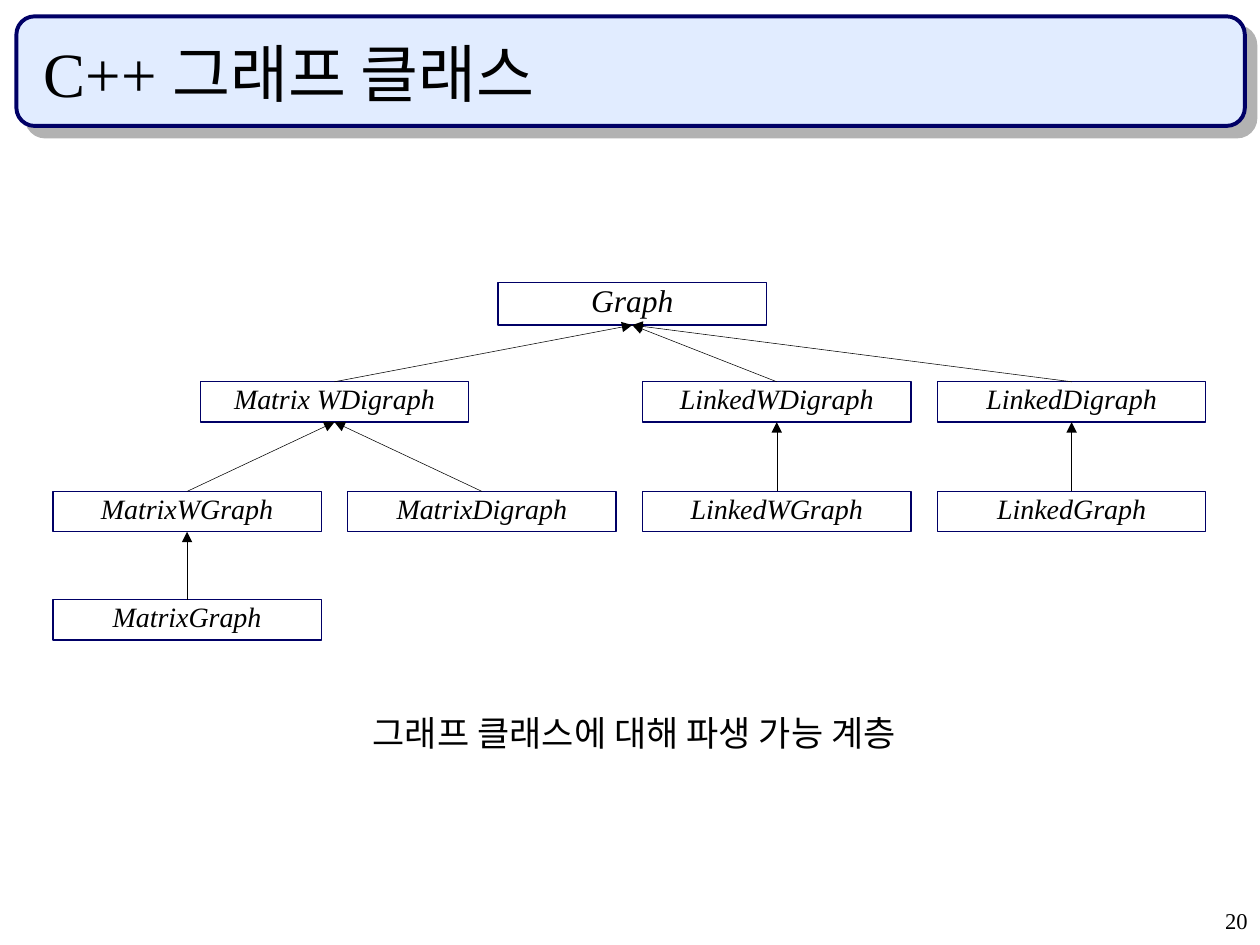
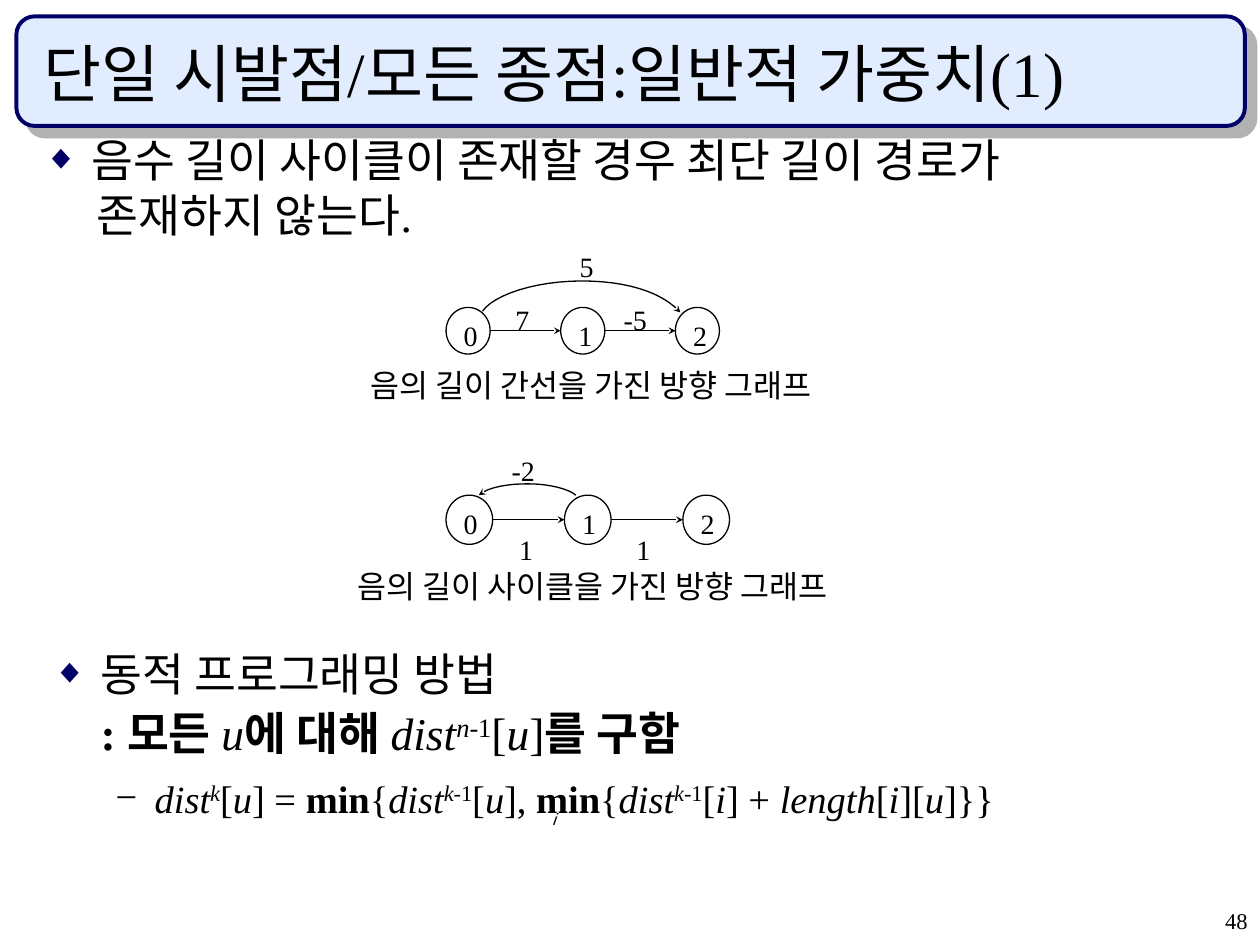
from dataclasses import dataclass

from lxml.etree import SubElement
from pptx import Presentation
from pptx.dml.color import RGBColor
from pptx.enum.shapes import MSO_CONNECTOR as Connector, MSO_SHAPE as Preset
from pptx.enum.text import MSO_ANCHOR as Anchor, PP_ALIGN as Align
from pptx.oxml.ns import qn
from pptx.util import Inches, Pt


@dataclass(frozen=True)
class Theme:
    black: str = "000000"
    navy: str = "000066"
    band: str = "E1ECFF"
    shadow: str = "B2B2B2"
    latin: str = "Times New Roman"
    korean: str = "Noto Sans CJK KR"
    title: float = 36
    body: float = 26
    formula: float = 22
    caption: float = 20
    note: float = 18
    label: float = 16
    number: float = 12.9
    index: float = 9


THEME = Theme()

# Class tree: name -> (column, row, parent)
TREE_TITLE, TREE_NUMBER = "C++ 그래프 클래스", "20"
CLASSES = {
    "Graph": (1.51, 0, None),
    "Matrix WDigraph": (0.5, 1, "Graph"),
    "LinkedWDigraph": (2, 1, "Graph"),
    "LinkedDigraph": (3, 1, "Graph"),
    "MatrixWGraph": (0, 2, "Matrix WDigraph"),
    "MatrixDigraph": (1, 2, "Matrix WDigraph"),
    "LinkedWGraph": (2, 2, "LinkedWDigraph"),
    "LinkedGraph": (3, 2, "LinkedDigraph"),
    "MatrixGraph": (0, 3, "MatrixWGraph"),
}
TREE_LEFT, COLUMN_PITCH, CLASS_WIDTH = 0.42, 2.34, 2.13
ROW_TOPS = (2.24, 3.03, 3.9, 4.76)
TREE_CAPTION = ("그래프 클래스에 대해 파생 가능 계층", 2.86, 5.6, 4.43, 0.44)

PATHS_TITLE, PATHS_NUMBER = "단일 시발점/모든 종점:일반적 가중치(1)", "48"
CYCLE_LINES = ("음수 길이 사이클이 존재할 경우 최단 길이 경로가", "존재하지 않는다.")

# Curves are a start point followed by cubic triples (control, control, end)
DIGRAPHS = [
    {
        "left": 3.54, "top": 2.44, "pitch": 0.91, "size": (0.35, 0.37),
        "weights": [("5", 4.6, 1.98), ("7", 4.09, 2.4), ("-5", 4.95, 2.4)],
        "curve": [(3.83, 2.47), (3.92, 2.34), (4.25, 2.23), (4.62, 2.23),
                  (4.95, 2.23), (5.25, 2.31), (5.4, 2.48)],
        "caption": ("음의 길이 간선을 가진 방향 그래프", 2.84, 2.86, 3.77, 0.4),
    },
    {
        "left": 3.54, "top": 3.93, "pitch": 0.94, "size": (0.37, 0.39),
        "weights": [("1", 4.12, 4.23), ("1", 5.05, 4.23), ("-2", 4.06, 3.6)],
        "curve": [(4.57, 3.93), (4.53, 3.89), (4.38, 3.84), (4.19, 3.84),
                  (4.05, 3.84), (3.88, 3.86), (3.8, 3.93)],
        "caption": ("음의 길이 사이클을 가진 방향 그래프", 2.74, 4.45, 4, 0.4),
    },
]
NODES = ("0", "1", "2")

# Runs are (text, style): b bold, i italic, ^ superscript
METHOD = [("동적 프로그래밍 방법", "")]
GOAL = [(": 모든 ", "b"), ("u", "i"), ("에 대해 ", "b"), ("dist", "i"), ("n", "i^"),
        ("-1", "^"), ("[", ""), ("u", "i"), ("]", ""), ("를 구함", "b")]
PREVIOUS = [("dist", "i"), ("k", "i^"), ("-1", "^"), ("[", "")]
FORMULA = [("dist", "i"), ("k", "i^"), ("[", ""), ("u", "i"), ("] = ", ""),
           ("min", "b"), ("{", ""), *PREVIOUS, ("u", "i"), ("], ", ""),
           ("min", "b"), ("{", ""), *PREVIOUS, ("i", "i"), ("] +", ""),
           (" length", "i"), ("[", ""), ("i", "i"), ("][", ""), ("u", "i"), ("]}}", "")]
MIN_INDEX = ("i", 4.28, 6.38, 0.23, 0.25)


def color(code):
    return RGBColor.from_string(code)


def inches(*lengths):
    return [Inches(length) for length in lengths]


def add_run(para, text, size, style="", font=THEME.latin):
    span = para.add_run()
    span.text = text
    span.font.size = Pt(size)
    span.font.name = font
    span.font.color.rgb = color(THEME.black)
    span.font.bold = "b" in style
    span.font.italic = "i" in style
    properties = span.font._element
    SubElement(properties, qn("a:ea"), typeface=THEME.korean)
    if "^" in style:
        properties.set("baseline", "30000")


def set_paragraph(para, align=Align.LEFT, spacing=1.0, before=0):
    para.alignment = align
    para.line_spacing = spacing
    para.space_before = Pt(before)


def set_indent(para, margin, hanging=0, bullet=None, tint=THEME.black, percent=100):
    properties = para._p.get_or_add_pPr()
    properties.set("marL", str(Inches(margin)))
    properties.set("indent", str(-Inches(hanging)))
    if bullet:
        tone = SubElement(properties, qn("a:buClr"))
        SubElement(tone, qn("a:srgbClr"), val=tint)
        SubElement(properties, qn("a:buSzPct"), val=str(percent * 1000))
        SubElement(properties, qn("a:buFont"), typeface=THEME.latin)
        SubElement(properties, qn("a:buChar"), char=bullet)


def add_text_box(page, left, top, width, height, wrap=True, inset=True):
    box = page.shapes.add_textbox(*inches(left, top, width, height))
    frame = box.text_frame
    frame.word_wrap = wrap
    if not inset:
        frame.margin_left = frame.margin_right = 0
        frame.margin_top = frame.margin_bottom = 0
    return frame


def add_caption(page, text, left, top, width, height, size, style="", font=THEME.korean):
    frame = add_text_box(page, left, top, width, height, wrap=False)
    add_run(frame.paragraphs[0], text, size, style, font)


def add_label(page, text, left, top):
    width = 0.11 if len(text) == 1 else 0.19
    frame = add_text_box(page, left, top, width, 0.27, wrap=False, inset=False)
    add_run(frame.paragraphs[0], text, THEME.label)


def set_line(shape, tint, width):
    shape.line.color.rgb = color(tint)
    shape.line.width = Pt(width)


def add_outline(page, preset, left, top, width, height, tint, line_width=0.75):
    shape = page.shapes.add_shape(preset, *inches(left, top, width, height))
    shape.shadow.inherit = False
    shape.fill.background()
    set_line(shape, tint, line_width)
    return shape


def set_arrowhead(shape, kind, size):
    line = shape.element.spPr.find(qn("a:ln"))
    SubElement(line, qn("a:tailEnd"), type=kind, w=size, len=size)


def add_arrow(page, ends, width, kind, size):
    arrow = page.shapes.add_connector(Connector.STRAIGHT, *ends)
    set_line(arrow, THEME.black, width)
    set_arrowhead(arrow, kind, size)
    SubElement(arrow.element.spPr, qn("a:effectLst"))
    return arrow


def curve_points(knots, steps=12):
    """Sample a chain of cubic Bezier segments."""
    points = [knots[0]]
    for first in range(0, len(knots) - 1, 3):
        segment = knots[first:first + 4]
        for step in range(1, steps + 1):
            t = step / steps
            weights = ((1 - t) ** 3, 3 * t * (1 - t) ** 2, 3 * t * t * (1 - t), t ** 3)
            points.append(tuple(sum(w * knot[axis] for w, knot in zip(weights, segment))
                                for axis in (0, 1)))
    return points


def add_curved_arrow(page, knots):
    start, *rest = [inches(*point) for point in curve_points(knots)]
    builder = page.shapes.build_freeform(*start)
    builder.add_line_segments(rest, close=False)
    curve = builder.convert_to_shape()
    curve.shadow.inherit = False
    curve.fill.background()
    set_line(curve, THEME.black, 0.75)
    set_arrowhead(curve, "stealth", "sm")


def add_page(deck, title, number):
    """Add a page with the title band, its title and the page number."""
    page = deck.slides.add_slide(deck.slide_layouts[6])
    band = add_outline(page, Preset.ROUNDED_RECTANGLE, 0.13, 0.13, 9.75, 0.87,
                       THEME.navy, 2.25)
    band.fill.solid()
    band.fill.fore_color.rgb = color(THEME.band)
    effects = band.element.spPr.find(qn("a:effectLst"))
    shadow = SubElement(effects, qn("a:outerShdw"), dist=str(Pt(8.5)),
                        dir=str(45 * 60000), algn="ctr", rotWithShape="0")
    SubElement(shadow, qn("a:srgbClr"), val=THEME.shadow)

    number_para = add_text_box(page, 7.92, 7.17, 2.08, 0.33).paragraphs[0]
    set_paragraph(number_para, Align.RIGHT, 0.9, 8.8)
    add_run(number_para, number, THEME.number)

    title_frame = add_text_box(page, 0.25, 0.25, 9.42, 0.67)
    title_frame.vertical_anchor = Anchor.BOTTOM
    add_run(title_frame.paragraphs[0], title, THEME.title)
    return page


def add_class_tree(page):
    boxes = {}
    for name, (column, row, parent) in CLASSES.items():
        height, size = (0.32, THEME.label) if parent else (0.34, THEME.note)
        box = add_outline(page, Preset.RECTANGLE, TREE_LEFT + column * COLUMN_PITCH,
                          ROW_TOPS[row], CLASS_WIDTH, height, THEME.navy)
        box.text_frame.vertical_anchor = Anchor.TOP
        para = box.text_frame.paragraphs[0]
        set_paragraph(para, Align.CENTER, 0.8, 10)
        add_run(para, name, size, "i")
        boxes[name] = box
    for name, (_, _, parent) in CLASSES.items():
        if parent:
            arrow = add_arrow(page, (0, 0, 0, 0), 0.31, "triangle", "med")
            arrow.begin_connect(boxes[name], 0)
            arrow.end_connect(boxes[parent], 2)
    add_caption(page, *TREE_CAPTION, THEME.caption, font=THEME.latin)


def add_digraph(page, graph):
    width, height = graph["size"]
    lefts = [graph["left"] + position * graph["pitch"] for position in range(len(NODES))]
    for name, left in zip(NODES, lefts):
        add_outline(page, Preset.OVAL, left, graph["top"], width, height, THEME.black)
        add_label(page, name, left + 0.14, graph["top"] + 0.09)
    middle = graph["top"] + height / 2
    for start, end in zip(lefts, lefts[1:]):
        add_arrow(page, inches(start + width, middle, end, middle), 0.75, "stealth", "sm")
    add_curved_arrow(page, graph["curve"])
    for weight in graph["weights"]:
        add_label(page, *weight)
    add_caption(page, *graph["caption"], THEME.note)


def add_cycle_statement(page):
    frame = add_text_box(page, 0.25, 1.08, 9.42, 1)
    first, second = frame.paragraphs[0], frame.add_paragraph()
    for para, text in zip((first, second), CYCLE_LINES):
        set_paragraph(para, spacing=0.8, before=6.5)
        add_run(para, text, THEME.body)
    set_indent(first, 0.38, 0.38, "◆", THEME.navy, 75)
    set_indent(second, 0.42)


def add_method(page):
    frame = add_text_box(page, 0.32, 5.16, 8.46, 1.59)
    method, goal, formula = frame.paragraphs[0], frame.add_paragraph(), frame.add_paragraph()
    for para, runs, size, spacing, before in (
            (method, METHOD, THEME.body, 0.8, 6.5),
            (goal, GOAL, THEME.body, 0.9, 6.5),
            (formula, FORMULA, THEME.formula, 1.1, 5.5)):
        set_paragraph(para, spacing=spacing, before=before)
        for text, style in runs:
            add_run(para, text, size, style)
    set_indent(method, 0.38, 0.38, "◆", THEME.navy, 75)
    set_indent(goal, 0.38)
    formula.level = 1
    set_indent(formula, 0.81, 0.31, "−")
    add_caption(page, *MIN_INDEX, THEME.index, "i")


def main():
    deck = Presentation()
    deck.slide_width, deck.slide_height = inches(10, 7.5)

    add_class_tree(add_page(deck, TREE_TITLE, TREE_NUMBER))

    paths_page = add_page(deck, PATHS_TITLE, PATHS_NUMBER)
    add_cycle_statement(paths_page)
    for graph in DIGRAPHS:
        add_digraph(paths_page, graph)
    add_method(paths_page)

    deck.save("out.pptx")


if __name__ == "__main__":
    main()
